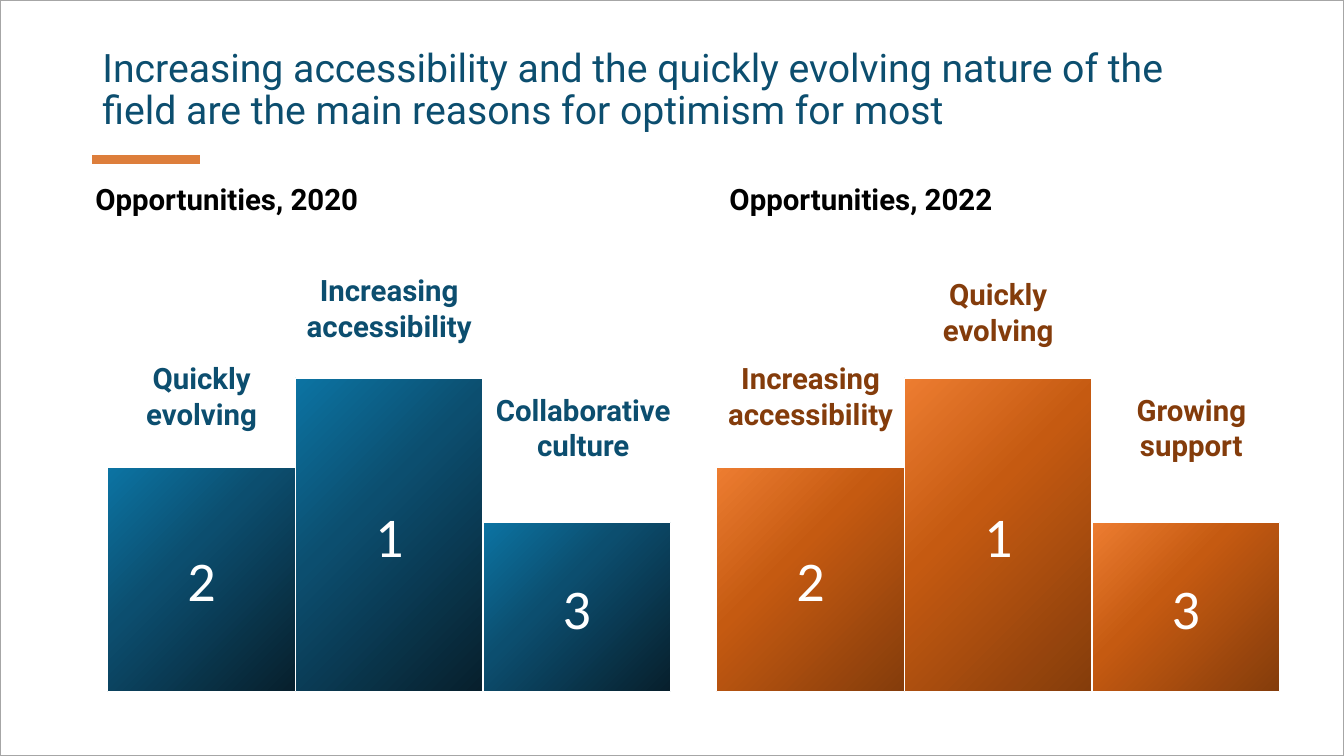
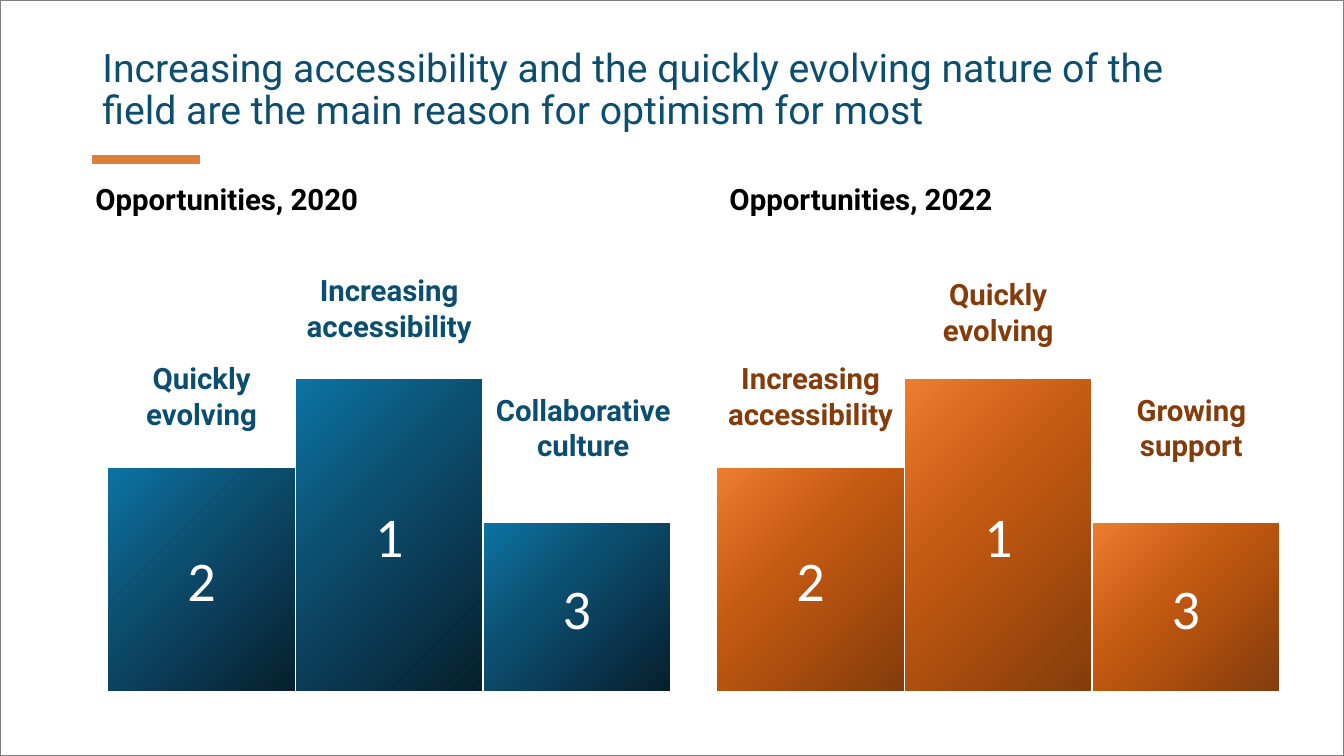
from lxml import etree
from pptx import Presentation
from pptx.dml.color import RGBColor
from pptx.enum import shapes, text
from pptx.oxml import ns
from pptx.util import Pt

COLOURS = {
    "title": "0C4E6F", "rule": "DD7E3B", "heading": "000000", "white": "FFFFFF",
    "blue_label": "0C4E6F", "orange_label": "843C0B",
}
GRADIENTS = {
    "blue": ((0, "0C74A3"), (40, "0C4E6F"), (100, "071F2C")),
    "orange": ((0, "ED7D31"), (40, "C55A11"), (100, "843C0B")),
}
SLIDE_WIDTH, SLIDE_HEIGHT = 960, 540
STEP_WIDTH, LABEL_HEIGHT = 134, 58.3
STEPS = (("2", 160), ("1", 224), ("3", 121))

# label text, box width, rise above the step, shift from the step's centre
PODIUMS = (
    {
        "box": (77, 126, 402, 368), "theme": "blue",
        "heading": "Opportunities, 2020", "heading_shift": -16,
        "labels": (("Quickly evolving", 134, 80, 0),
                   ("Increasing accessibility", 143, 79, 0),
                   ("Collaborative culture", 152, 96.5, 4.6)),
    },
    {
        "box": (512, 126, 402, 368), "theme": "orange",
        "heading": "Opportunities, 2022", "heading_shift": 2,
        "labels": (("Increasing accessibility", 143, 80, 0),
                   ("Quickly evolving", 134, 76, 0),
                   ("Growing support", 122, 96.5, 4)),
    },
)
SLIDES = (
    ("Increasing accessibility and the quickly evolving nature of the field "
     "are the main reasons for optimism for most", "A6A6A6", 1),
    ("Increasing accessibility and the quickly evolving nature of the field "
     "are the main reason for optimism for most", "808080", 1.5),
)


def points(*lengths):
    return [Pt(length) for length in lengths]


def style_text(frame, size, colour, font="Roboto", bold=False,
               align=text.PP_ALIGN.LEFT):
    for paragraph in frame.paragraphs:
        paragraph.alignment = align
        for run in paragraph.runs:
            run.font.name = font
            run.font.size = Pt(size)
            run.font.bold = bold
            run.font.color.rgb = RGBColor.from_string(colour)


def set_line(line, colour, width):
    line.color.rgb = RGBColor.from_string(colour)
    line.width = Pt(width)


def fill_from_corner(shape, stops):
    shape.fill.gradient()
    gradient = shape.element.spPr.find(ns.qn("a:gradFill"))
    for child in list(gradient):
        gradient.remove(child)
    stop_list = etree.SubElement(gradient, ns.qn("a:gsLst"))
    for position, colour in stops:
        stop = etree.SubElement(stop_list, ns.qn("a:gs"), pos=str(position * 1000))
        etree.SubElement(stop, ns.qn("a:srgbClr"), val=colour)
    circle = etree.SubElement(gradient, ns.qn("a:path"), path="circle")
    etree.SubElement(circle, ns.qn("a:fillToRect"), r="100000", b="100000")
    etree.SubElement(gradient, ns.qn("a:tileRect"), l="-100000", t="-100000")


def add_bold_text(slide, box, wording, colour, align):
    frame = slide.shapes.add_textbox(*points(*box)).text_frame
    frame.word_wrap = True
    frame.auto_size = text.MSO_AUTO_SIZE.SHAPE_TO_FIT_TEXT
    frame.text = wording
    style_text(frame, 21, colour, bold=True, align=align)


def add_header(slide, box, wording):
    left, top, width, height = box
    title = slide.shapes.title
    title.left, title.top, title.width, title.height = points(*box)
    frame = title.text_frame
    frame.text = wording
    frame.word_wrap = True
    frame.auto_size = text.MSO_AUTO_SIZE.NONE
    frame.vertical_anchor = text.MSO_ANCHOR.TOP
    frame.paragraphs[0].line_spacing = 0.9
    style_text(frame, 28, COLOURS["title"])

    rule_y = top + height + 26
    rule = slide.shapes.add_connector(
        shapes.MSO_CONNECTOR.STRAIGHT, *points(left, rule_y, left + 77, rule_y))
    set_line(rule.line, COLOURS["rule"], 6)
    etree.SubElement(rule.element.spPr, ns.qn("a:effectLst"))


def add_step(slide, box, rank, stops):
    step = slide.shapes.add_shape(shapes.MSO_SHAPE.RECTANGLE, *points(*box))
    step.shadow.inherit = False
    fill_from_corner(step, stops)
    set_line(step.line, COLOURS["white"], 1)
    step.text_frame.text = rank
    step.text_frame.vertical_anchor = text.MSO_ANCHOR.MIDDLE
    style_text(step.text_frame, 40, COLOURS["white"], font="Calibri",
               align=text.PP_ALIGN.CENTER)


def add_podium(slide, box, theme, heading, heading_shift, labels):
    left, top, width, height = box
    add_bold_text(slide, (left + heading_shift, top, 288, 32.4), heading,
                  COLOURS["heading"], text.PP_ALIGN.LEFT)
    for index, ((rank, step_height), label) in enumerate(zip(STEPS, labels)):
        wording, label_width, rise, shift = label
        step_left = left + index * STEP_WIDTH
        step_top = top + height - step_height
        add_step(slide, (step_left, step_top, STEP_WIDTH, step_height), rank,
                 GRADIENTS[theme])
        label_left = step_left + (STEP_WIDTH - label_width) / 2 + shift
        add_bold_text(slide, (label_left, step_top - rise, label_width, LABEL_HEIGHT),
                      wording, COLOURS[theme + "_label"], text.PP_ALIGN.CENTER)


def add_border(slide, box, colour, width):
    border = slide.shapes.add_shape(shapes.MSO_SHAPE.RECTANGLE, *points(*box))
    border.shadow.inherit = False
    border.fill.background()
    set_line(border.line, colour, width)


def add_opportunities_slide(deck, title, border_colour, border_width):
    slide = deck.slides.add_slide(deck.slide_layouts[5])
    add_header(slide, (66, 31, 828, 57), title)
    for podium in PODIUMS:
        add_podium(slide, **podium)
    add_border(slide, (0, 0, SLIDE_WIDTH, SLIDE_HEIGHT), border_colour, border_width)


def main():
    deck = Presentation()
    deck.slide_width, deck.slide_height = points(SLIDE_WIDTH, SLIDE_HEIGHT)
    for title, border_colour, border_width in SLIDES:
        add_opportunities_slide(deck, title, border_colour, border_width)
    deck.save("out.pptx")


if __name__ == "__main__":
    main()
